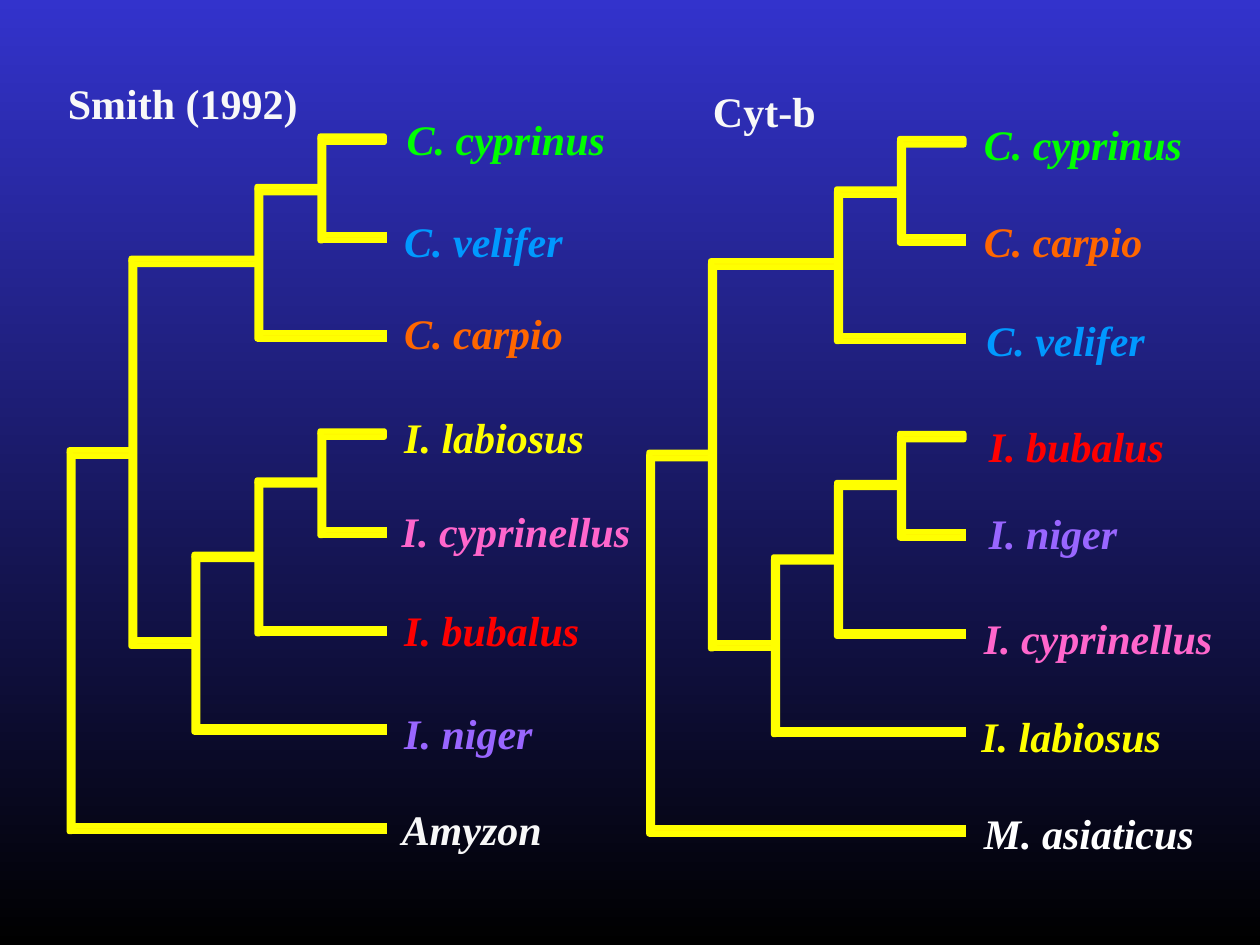
from pptx import Presentation
from pptx.dml.color import RGBColor
from pptx.enum.shapes import MSO_SHAPE
from pptx.enum.text import MSO_AUTO_SIZE
from pptx.oxml.ns import qn
from pptx.util import Inches, Pt
from lxml import etree

RECT = MSO_SHAPE.RECTANGLE
FIT = MSO_AUTO_SIZE.SHAPE_TO_FIT_TEXT

NIB = 0.02
STEM = 0.03
LABEL_HEIGHT = 0.5
TREE_SHIFT = (4.6, 0.02)
CLADE_FIELDS = ("x", "top", "top_right", "bottom", "bottom_right", "thick")

CLADES = [dict(zip(CLADE_FIELDS, values)) for values in (
    (0.55, 3.57, 1.06, 6.6, 3.05, 0.05),
    (1.04, 2.05, 2.05, 5.13, 1.55, 0.05),
    (1.54, 4.4, 2.05, 5.81, 3.05, 0.04),
    (2.04, 3.81, 2.55, 5.03, 3.05, 0.04),
    (2.54, 3.42, 3.05, 4.25, 3.05, 0.05),
    (2.04, 1.48, 2.55, 2.69, 3.05, 0.05),
    (2.54, 1.08, 3.05, 1.91, 3.05, 0.05),
)]

SPECIES = {
    "C. cyprinus": ("00FF00", 1.87),
    "C. velifer": ("0099FF", 1.56),
    "C. carpio": ("FF6600", 1.56),
    "I. labiosus": ("FFFF00", 1.72),
    "I. cyprinellus": ("FF66CC", 2.13),
    "I. bubalus": ("FF0000", 1.69),
    "I. niger": ("9966FF", 1.32),
    "Amyzon": ("F8F8F8", 1.41),
    "M. asiaticus": ("FFFFFF", 1.96),
}

SMITH_TIPS = [
    ("C. cyprinus", 3.13, 0.85),
    ("C. velifer", 3.11, 1.66),
    ("C. carpio", 3.11, 2.39),
    ("I. labiosus", 3.11, 3.22),
    ("I. cyprinellus", 3.09, 3.96),
    ("I. bubalus", 3.11, 4.75),
    ("I. niger", 3.11, 5.57),
    ("Amyzon", 3.09, 6.33),
]

CYTB_TIPS = [
    ("C. cyprinus", 7.71, 0.89),
    ("C. carpio", 7.71, 1.66),
    ("C. velifer", 7.73, 2.45),
    ("I. bubalus", 7.75, 3.29),
    ("I. niger", 7.75, 3.98),
    ("I. cyprinellus", 7.71, 4.81),
    ("I. labiosus", 7.69, 5.59),
    ("M. asiaticus", 7.71, 6.36),
]


def rgb(value):
    return RGBColor.from_string(value)


class TreeSlide:
    font = {"name": "Times New Roman", "size": Pt(24), "bold": True}
    branch_fill = "FFF700"
    branch_line = "FFFF00"

    def __init__(self, prs):
        self.s = prs.slides.add_slide(prs.slide_layouts[6])

    def background(self, top, bottom):
        fill = self.s.background.fill
        fill.gradient()
        fill.gradient_angle = 270
        for stop, position, colour in zip(fill.gradient_stops, (0, 1), (top, bottom)):
            stop.position = position
            stop.color.rgb = rgb(colour)

    def label(self, text, left, top, width, colour, italic=False):
        box = self.s.shapes.add_textbox(
            Inches(left), Inches(top), Inches(width), Inches(LABEL_HEIGHT))
        tf = box.text_frame
        tf.word_wrap = True
        tf.auto_size = FIT
        r = tf.paragraphs[0].add_run()
        r.text = text
        for name, value in {**self.font, "italic": italic}.items():
            setattr(r.font, name, value)
        r.font.color.rgb = rgb(colour)

    def paint(self, sp, join):
        sp.shadow.inherit = False
        sp.fill.solid()
        sp.fill.fore_color.rgb = rgb(self.branch_fill)
        sp.line.width = Pt(3)
        sp.line.color.rgb = rgb(self.branch_line)
        etree.SubElement(sp.line._get_or_add_ln(), qn(join))

    def bar(self, left, top, right, bottom):
        sp = self.s.shapes.add_shape(
            RECT, Inches(left), Inches(top), Inches(right - left), Inches(bottom - top))
        self.paint(sp, "a:miter")

    def outline(self, points):
        start, *rest = [(Inches(x), Inches(y)) for x, y in points]
        builder = self.s.shapes.build_freeform(*start)
        builder.add_line_segments(rest, close=True)
        self.paint(builder.convert_to_shape(), "a:round")

    def clade(self, x, top, top_right, bottom, bottom_right, thick):
        inner, shoulder, foot = x + NIB, top + NIB, bottom - NIB
        self.bar(inner, bottom - thick, bottom_right, bottom)
        self.outline([(x, bottom), (x, shoulder), (x + STEM, shoulder),
                      (x + STEM, foot), (inner, bottom)])
        self.outline([(x, top), (top_right, top), (top_right, top + thick),
                      (inner, top + thick), (x, shoulder)])

    def tree(self, tips, dx=0, dy=0):
        shift = {"x": dx, "top_right": dx, "bottom_right": dx, "top": dy, "bottom": dy}
        for clade in CLADES:
            self.clade(**{k: v + shift.get(k, 0) for k, v in clade.items()})
        for name, left, top in tips:
            colour, width = SPECIES[name]
            self.label(name, left, top, width, colour, italic=True)


def main():
    prs = Presentation()
    prs.slide_width, prs.slide_height = Inches(10), Inches(7.5)
    slide = TreeSlide(prs)
    slide.background("3333CC", "000000")
    slide.tree(SMITH_TIPS)
    slide.tree(CYTB_TIPS, *TREE_SHIFT)
    slide.label("Smith (1992)", 0.44, 0.57, 2.15, "F8F8F8")
    slide.label("Cyt-b", 5.56, 0.63, 1.15, "F8F8F8")
    prs.save("out.pptx")


if __name__ == "__main__":
    main()
